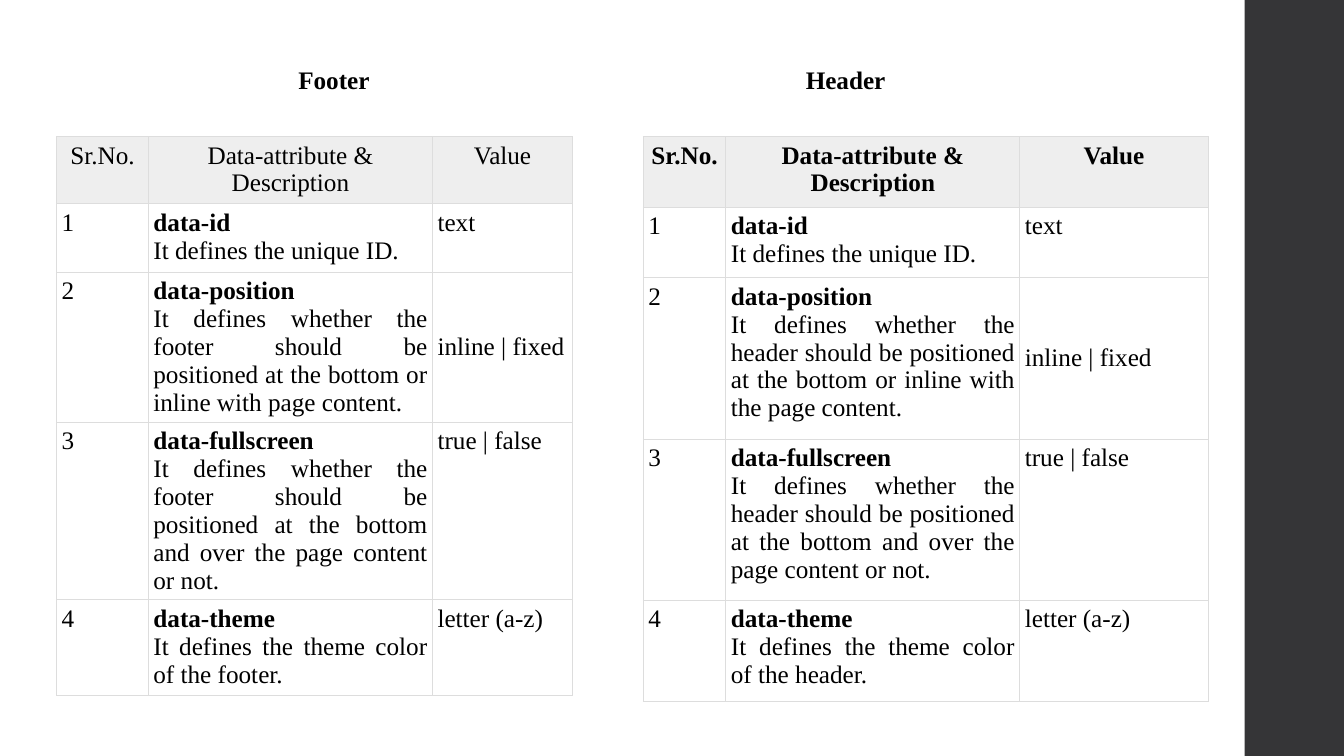
"""Build a slide comparing the data attributes of footers and headers."""
from dataclasses import dataclass

from lxml.etree import SubElement
from pptx import Presentation
from pptx.dml.color import RGBColor
from pptx.enum.shapes import MSO_SHAPE as Shape
from pptx.enum.text import MSO_ANCHOR as Anchor, PP_ALIGN as Align
from pptx.oxml.ns import qn
from pptx.slide import Slide
from pptx.table import _Cell as Cell
from pptx.text.text import _Paragraph as Paragraph
from pptx.util import Pt


@dataclass(frozen=True)
class Theme:
    font: str = "Times New Roman"
    size: float = 18
    ink: RGBColor = RGBColor(0, 0, 0)
    sidebar: RGBColor = RGBColor(0x35, 0x35, 0x37)
    heading_fill: RGBColor = RGBColor(0xEE, 0xEE, 0xEE)
    border: str = "DDDDDD"
    border_width: float = 0.75
    inset: float = 3.6


@dataclass(frozen=True)
class Attribute:
    name: str
    description: str
    value: str
    value_anchor: Anchor = Anchor.TOP


@dataclass(frozen=True)
class Section:
    title: str
    title_left: float
    table_left: float
    columns: tuple[float, ...]
    rows: tuple[float, ...]
    bold_headings: bool
    position_text: str
    fullscreen_text: str

    def attributes(self) -> list[Attribute]:
        part = self.title.lower()
        rule = f"It defines whether the {part} should be positioned at the bottom"
        return [
            Attribute("data-id", "It defines the unique ID.", "text"),
            Attribute("data-position", f"{rule} {self.position_text}",
                      "inline | fixed", Anchor.MIDDLE),
            Attribute("data-fullscreen", f"{rule} {self.fullscreen_text}", "true | false"),
            Attribute("data-theme", f"It defines the theme color of the {part}.",
                      "letter (a-z)"),
        ]


THEME = Theme()
SLIDE_WIDTH, SLIDE_HEIGHT = 960, 540
SIDEBAR_LEFT, SIDEBAR_WIDTH = 889, 71
TITLE_TOP, TITLE_WIDTH, TITLE_HEIGHT = 42.5, 186, 29
TABLE_TOP = 97.5
HEADINGS = ("Sr.No.", "Data-attribute & Description", "Value")
SECTIONS = (
    Section("Footer", 206, 40.5, (65.5, 203, 100), (48, 49, 107, 127, 68), False,
            "or inline with page content.", "and over the page content or not."),
    Section("Header", 568.5, 459.5, (59, 210, 134.5), (48, 47, 107, 107, 67), True,
            "or inline with the page content.", "and over the page content or not."),
)


def write(paragraph: Paragraph, text: str, bold: bool = False,
          align: Align = Align.LEFT) -> None:
    paragraph.alignment = align
    run = paragraph.add_run()
    run.text = text
    run.font.name = THEME.font
    run.font.size = Pt(THEME.size)
    run.font.bold = bold
    run.font.color.rgb = THEME.ink


def format_cell(cell: Cell, heading: bool) -> None:
    cell.margin_left = cell.margin_right = Pt(THEME.inset)
    cell.margin_top = cell.margin_bottom = Pt(THEME.inset)
    cell.vertical_anchor = Anchor.TOP
    properties = cell._tc.get_or_add_tcPr()
    for side in ("lnL", "lnR", "lnT", "lnB"):
        line = SubElement(properties, qn(f"a:{side}"), w=str(Pt(THEME.border_width)))
        SubElement(SubElement(line, qn("a:solidFill")), qn("a:srgbClr"), val=THEME.border)
    if heading:
        cell.fill.solid()
        cell.fill.fore_color.rgb = THEME.heading_fill
    else:
        cell.fill.background()


def add_sidebar(slide: Slide) -> None:
    sidebar = slide.shapes.add_shape(Shape.RECTANGLE, Pt(SIDEBAR_LEFT), Pt(0),
                                     Pt(SIDEBAR_WIDTH), Pt(SLIDE_HEIGHT))
    sidebar.shadow.inherit = False
    sidebar.fill.solid()
    sidebar.fill.fore_color.rgb = THEME.sidebar
    sidebar.line.fill.background()


def add_title(slide: Slide, section: Section) -> None:
    title = slide.shapes.add_textbox(Pt(section.title_left), Pt(TITLE_TOP),
                                     Pt(TITLE_WIDTH), Pt(TITLE_HEIGHT))
    title.text_frame.word_wrap = True
    write(title.text_frame.paragraphs[0], section.title, bold=True)


def add_attribute_table(slide: Slide, section: Section) -> None:
    table = slide.shapes.add_table(
        len(section.rows), len(section.columns), Pt(section.table_left), Pt(TABLE_TOP),
        Pt(sum(section.columns)), Pt(sum(section.rows))).table
    table.horz_banding = False
    for column, width in zip(table.columns, section.columns):
        column.width = Pt(width)
    for row_number, (row, height) in enumerate(zip(table.rows, section.rows)):
        row.height = Pt(height)
        for cell in row.cells:
            format_cell(cell, heading=row_number == 0)

    for cell, heading in zip(table.rows[0].cells, HEADINGS):
        write(cell.text_frame.paragraphs[0], heading, section.bold_headings, Align.CENTER)

    for number, attribute in enumerate(section.attributes(), start=1):
        serial, detail, value = table.rows[number].cells
        write(serial.text_frame.paragraphs[0], str(number))
        write(detail.text_frame.paragraphs[0], attribute.name, True, Align.JUSTIFY)
        write(detail.text_frame.add_paragraph(), attribute.description, align=Align.JUSTIFY)
        write(value.text_frame.paragraphs[0], attribute.value)
        value.vertical_anchor = attribute.value_anchor


def main() -> None:
    deck = Presentation()
    deck.slide_width, deck.slide_height = Pt(SLIDE_WIDTH), Pt(SLIDE_HEIGHT)
    slide = deck.slides.add_slide(deck.slide_layouts.get_by_name("Blank"))
    add_sidebar(slide)
    for section in SECTIONS:
        add_attribute_table(slide, section)
        add_title(slide, section)
    deck.save("out.pptx")


if __name__ == "__main__":
    main()
